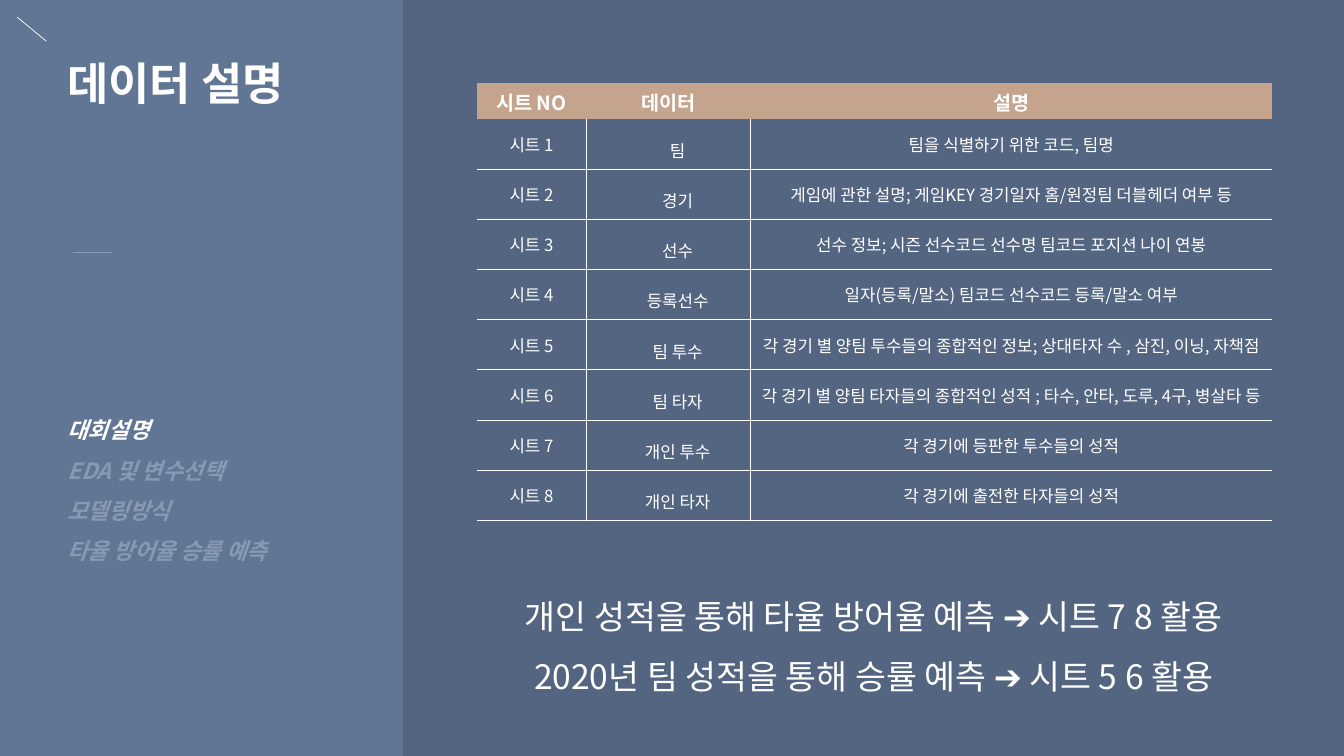
from lxml.etree import SubElement as Sub
from pptx import Presentation
from pptx.dml.color import RGBColor
from pptx.enum.text import MSO_ANCHOR as Anchor, MSO_AUTO_SIZE as Fit, PP_ALIGN as Align
from pptx.oxml.ns import qn
from pptx.util import Cm, Pt

FONT = "Noto Sans CJK KR"
WHITE, MUTED, TAN = "FFFFFF", "8899B2", "C5A48D"
SIDE, MAIN = "617695", "536580"
WIDE, HIGH, SPLIT = 33.87, 19.05, 10.16

MENU = ["대회설명", "EDA 및 변수선택", "모델링방식", "타율 방어율 승률 예측"]
NOTES = ["개인 성적을 통해 타율 방어율 예측 ➔ 시트 7 8 활용",
         "2020년 팀 성적을 통해 승률 예측 ➔ 시트 5 6 활용"]
HEAD = ["시트 NO", "데이터", "설명"]
SHEETS = [
    ("팀", "팀을 식별하기 위한 코드, 팀명"),
    ("경기", "게임에 관한 설명; 게임KEY 경기일자 홈/원정팀 더블헤더 여부 등"),
    ("선수", "선수 정보; 시즌 선수코드 선수명 팀코드 포지션 나이 연봉"),
    ("등록선수", "일자(등록/말소) 팀코드 선수코드 등록/말소 여부"),
    ("팀 투수", "각 경기 별 양팀 투수들의 종합적인 정보; 상대타자 수 , 삼진, 이닝, 자책점"),
    ("팀 타자", "각 경기 별 양팀 타자들의 종합적인 성적 ; 타수, 안타, 도루, 4구, 병살타 등"),
    ("개인 투수", "각 경기에 등판한 투수들의 성적"),
    ("개인 타자", "각 경기에 출전한 타자들의 성적"),
]


def rgb(color):
    return RGBColor.from_string(color)


def style(para, size, color=WHITE, bold=False, italic=False, align=Align.LEFT, space=None):
    font = para.font
    font.name, font.size, font.bold, font.italic = FONT, Pt(size), bold, italic
    font.color.rgb = rgb(color)
    # Korean glyphs take the East Asian typeface
    Sub(para._p.pPr.find(qn("a:defRPr")), qn("a:ea"), typeface=FONT)
    para.alignment = align
    if space:
        para.line_spacing = space


def text(slide, box, lines, size, colors, **look):
    frame = slide.shapes.add_textbox(*map(Cm, box)).text_frame
    frame.word_wrap = True
    frame.auto_size = Fit.SHAPE_TO_FIT_TEXT
    frame.text = "\n".join(lines)
    for para, color in zip(frame.paragraphs, colors):
        style(para, size, color, **look)


def line(slide, ends, color):
    rule = slide.shapes.add_connector(1, *map(Cm, ends))
    rule.line.color.rgb = rgb(color)
    rule.line.width = Pt(0.5)
    Sub(rule._element.spPr, qn("a:effectLst"))


def edges(cell, shown):
    props = cell._tc.get_or_add_tcPr()
    for side in "LRTB":
        edge = Sub(props, qn(f"a:ln{side}"), w=str(Pt(1)))
        if side in shown:
            Sub(Sub(edge, qn("a:solidFill")), qn("a:srgbClr"), val=WHITE)
        else:
            Sub(edge, qn("a:noFill"))


def sidebar(slide, x, y, w):
    left = x + 1.45
    line(slide, (x + 0.43, y + 0.43, x + 1.17, y + 1.04), WHITE)
    text(slide, (left, y + 1.27, w - 2.13, 1.63), ["데이터 설명"], 32, [WHITE], bold=True)
    line(slide, (x + 1.83, y + 6.35, x + 2.82, y + 6.35), MUTED)
    # Section menu, with the current section in white
    text(slide, (left, y + 10.03, w - 2.54, 4.22), MENU, 16,
         [WHITE] + [MUTED] * 3, bold=True, italic=True, space=1.5)


def sheets(slide, x, y, w):
    rows = [HEAD] + [(f"시트 {n}", *row) for n, row in enumerate(SHEETS, 1)]
    grid = slide.shapes.add_table(len(rows), 3, Cm(x), Cm(y), Cm(w), Cm(11)).table
    grid.horz_banding = False
    for col, width in zip(grid.columns, (2.77, 4.14, w - 6.91)):
        col.width = Cm(width)
    for r, row in enumerate(rows):
        grid.rows[r].height = Cm(1.26 if r else 0.93)
        for c, words in enumerate(row):
            cell = grid.cell(r, c)
            cell.text = words
            cell.vertical_anchor = Anchor.MIDDLE
            inner = bool(r) and c == 1
            if inner:
                cell.margin_left = Cm(0.71)
            style(cell.text_frame.paragraphs[0], 12 if r else 14, bold=not r,
                  align=Align.CENTER, space=1.5 if inner else None)
            # Rules run below each sheet and between columns only
            edges(cell, ("R", "LR", "L")[c] + ("TB" if r > 1 else "B") if r else "")
            if r:
                cell.fill.background()
            else:
                cell.fill.solid()
                cell.fill.fore_color.rgb = rgb(TAN)


def content(slide, x, y, w):
    sheets(slide, x + 1.85, y + 2.08, w - 3.67)
    text(slide, (x, y + 14.38, w, 3.2), NOTES, 24, [WHITE] * 2,
         align=Align.CENTER, space=1.5)


def backdrop(slide):
    fill = slide.background.fill
    fill.gradient()
    fill.gradient_angle = 0
    for stop, color in zip(fill.gradient_stops, (SIDE, MAIN)):
        stop.position = 0.3
        stop.color.rgb = rgb(color)


def main():
    deck = Presentation()
    deck.slide_width, deck.slide_height = Cm(WIDE), Cm(HIGH)
    slide = deck.slides.add_slide(deck.slide_layouts[6])
    backdrop(slide)
    sidebar(slide, 0, 0, SPLIT)
    content(slide, SPLIT, 0, WIDE - SPLIT)
    deck.save("out.pptx")


if __name__ == "__main__":
    main()
